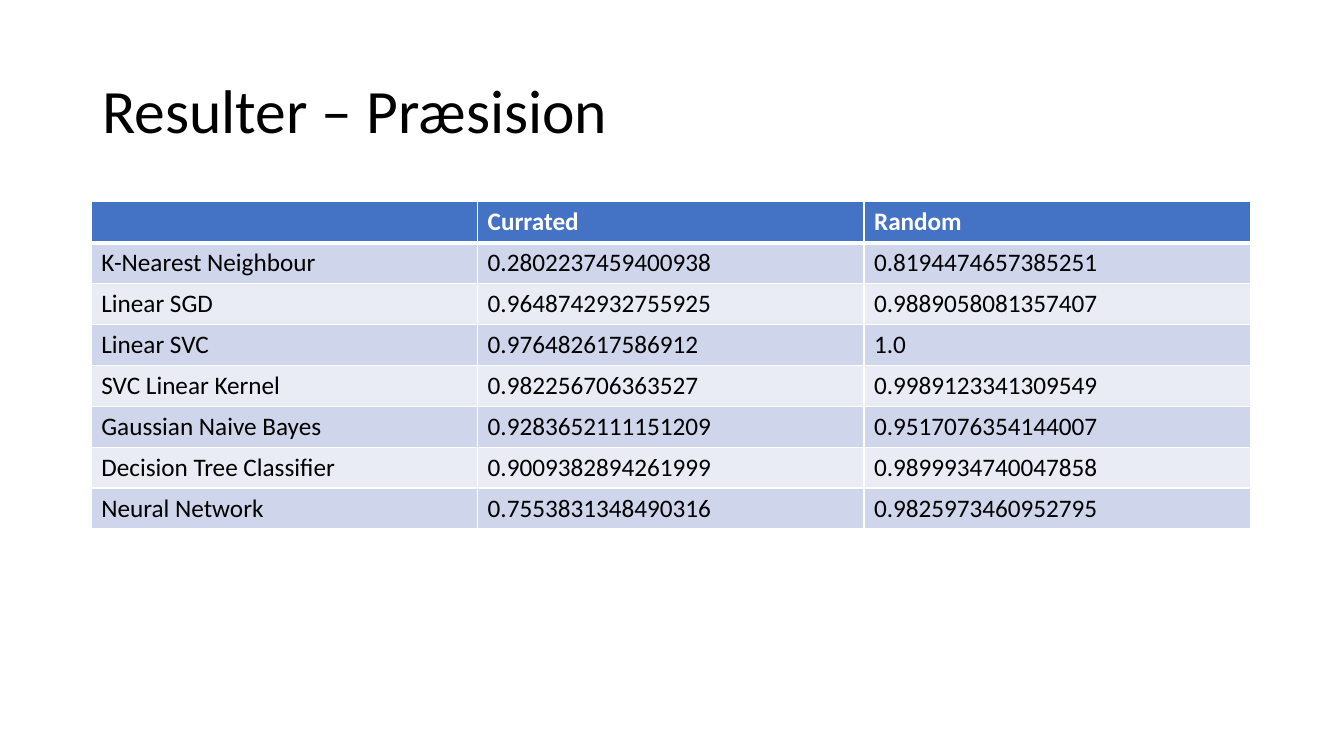
import pptx
import pptx.dml.color
import pptx.enum.text
import pptx.oxml
import pptx.oxml.ns
import pptx.util

Pt = pptx.util.Pt
RGB = pptx.dml.color.RGBColor.from_string
COLORS = {
    "text": "000000",
    "header": "4472C4",
    "header_text": "FFFFFF",
    "band_dark": "CFD5EA",
    "band_light": "E9EBF5",
    "border": "FFFFFF",
}


def add_run(paragraph, text, size, color, bold=False):
    run = paragraph.add_run()
    run.text = text
    run.font.name = "Calibri"
    run.font.size = Pt(size)
    run.font.bold = bold
    run.font.color.rgb = RGB(COLORS[color])


def add_border(cell, side, width):
    cell._tc.get_or_add_tcPr().append(pptx.oxml.parse_xml(
        f'<a:ln{side} {pptx.oxml.ns.nsdecls("a")} w="{Pt(width)}"><a:solidFill>'
        f'<a:srgbClr val="{COLORS["border"]}"/></a:solidFill></a:ln{side}>'))


prs = pptx.Presentation()
prs.slide_width, prs.slide_height = Pt(960), Pt(540)
slide = prs.slides.add_slide(prs.slide_layouts[6])

title = slide.shapes.add_textbox(Pt(66), Pt(28.75), Pt(828), Pt(104.4)).text_frame
title.word_wrap = True
title.vertical_anchor = pptx.enum.text.MSO_ANCHOR.MIDDLE
title.paragraphs[0].line_spacing = 0.9
add_run(title.paragraphs[0], "Resulter – Præsision", 44, "text")

precision_rows = [
    ("", "Currated", "Random"),
    ("K-Nearest Neighbour", "0.2802237459400938", "0.8194474657385251"),
    ("Linear SGD", "0.9648742932755925", "0.9889058081357407"),
    ("Linear SVC", "0.976482617586912", "1.0"),
    ("SVC Linear Kernel", "0.982256706363527", "0.9989123341309549"),
    ("Gaussian Naive Bayes", "0.9283652111151209", "0.9517076354144007"),
    ("Decision Tree Classifier", "0.9009382894261999", "0.9899934740047858"),
    ("Neural Network", "0.7553831348490316", "0.9825973460952795"),
]
precision = slide.shapes.add_table(
    len(precision_rows), 3, Pt(65.2), Pt(144.2), Pt(828), Pt(233.6)).table

for column in precision.columns:
    column.width = Pt(276)
for r, values in enumerate(precision_rows):
    precision.rows[r].height = Pt(29.2)
    header = r == 0
    band = "header" if header else "band_dark" if r % 2 else "band_light"
    for c, value in enumerate(values):
        cell = precision.cell(r, c)
        add_border(cell, "L", 1)
        add_border(cell, "R", 1)
        add_border(cell, "T", 3 if r == 1 else 1)
        add_border(cell, "B", 3 if header else 1)
        cell.fill.solid()
        cell.fill.fore_color.rgb = RGB(COLORS[band])
        if value:
            add_run(cell.text_frame.paragraphs[0], value, 18,
                    "header_text" if header else "text", header)

prs.save("out.pptx")
